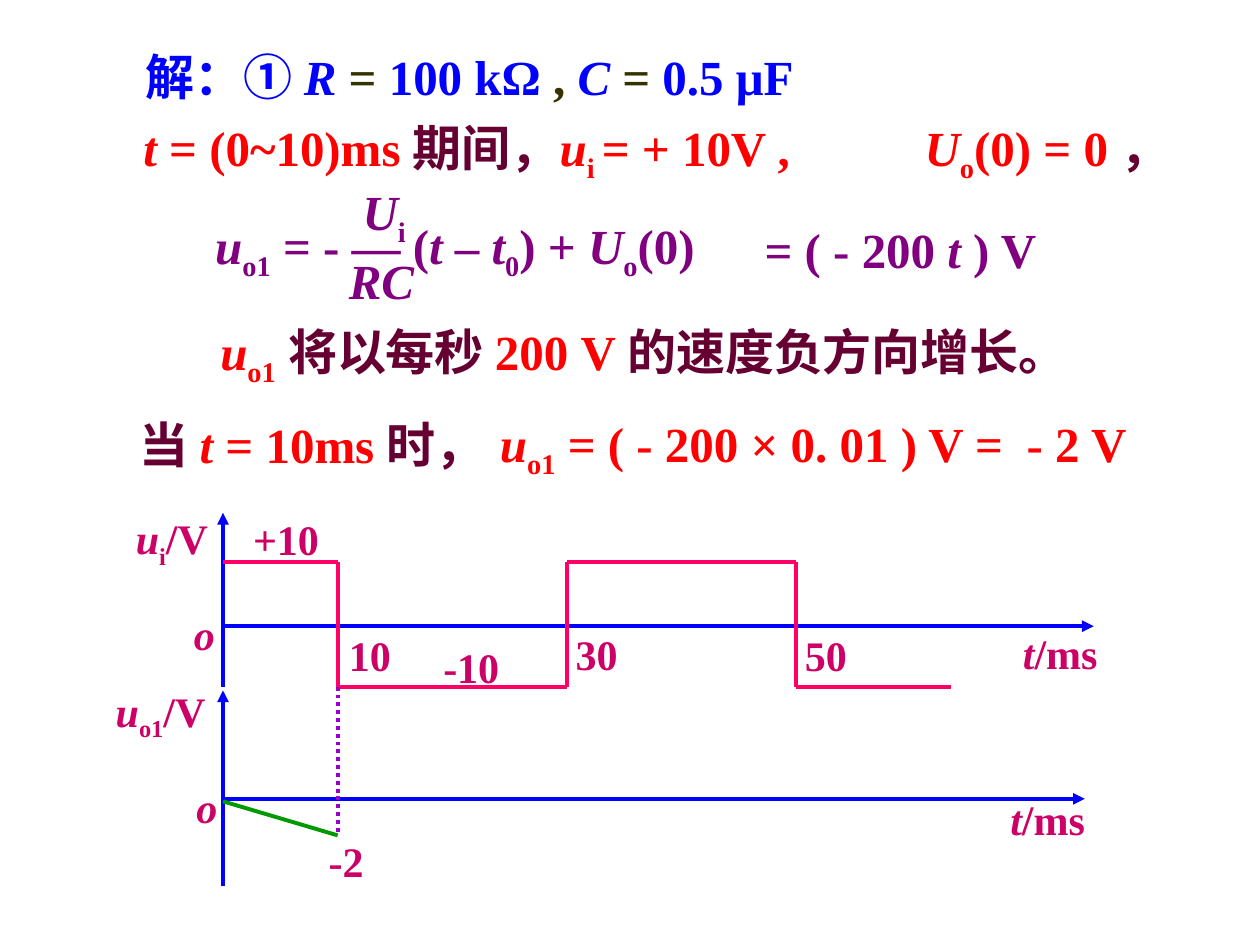
from itertools import pairwise

from lxml.etree import SubElement
from pptx import Presentation
from pptx.dml.color import RGBColor
from pptx.enum.dml import MSO_LINE_DASH_STYLE as Dash
from pptx.enum.shapes import MSO_CONNECTOR as Connector
from pptx.oxml.ns import qn
from pptx.util import Inches, Pt

FONT = "Times New Roman"
BLUE, RED, WINE, OLIVE = "0000FF", "FF0000", "660033", "333300"
PURPLE, LABEL, WAVE, GREEN, VIOLET = "800080", "CC0066", "FF0066", "009900", "9900CC"

FORMULAS = [
    ((1.06, 0.32, 7.09, 0.57), BLUE, None, [
        ("解：① ",), ("R", "i"), (" = ", "", OLIVE), ("100 kΩ",), (" , ", "", OLIVE),
        ("C ", "i"), ("=", "", OLIVE), (" 0.5 μF",)]),
    ((1.04, 0.88, 8.96, 0.63), RED, 6.2, [
        ("t", "i"), (" = (0~10)ms ",), ("期间，", "", WINE), ("u", "i"), ("i ", "s"),
        ("= + 10V ,\t",), ("U", "i"), ("o", "s"), ("(0) = 0 ",), ("，", "", WINE)]),
    ((1.61, 1.66, 4.13, 0.63), PURPLE, None, [
        ("u", "i"), ("o1", "s"), (" = - — (",), ("t", "i"), (" – ",), ("t", "i"), ("0", "s"),
        (") + ",), ("U", "i"), ("o", "s"), ("(0)",)]),
    ((2.78, 1.39, 0.54, 0.63), PURPLE, None, [("U", "i"), ("i", "s")]),
    ((2.67, 1.94, 0.72, 0.57), PURPLE, None, [("RC", "i")]),
    ((5.97, 1.69, 3.25, 0.57), PURPLE, None, [("= ( - 200 ",), ("t", "i"), (" ) V",)]),
    ((1.65, 2.5, 7.83, 0.63), RED, None, [
        ("u", "i"), ("o1", "s"), (" 将以每秒 ", "", WINE), ("200 V ",),
        ("的速度负方向增长。", "", WINE)]),
    ((1.01, 3.24, 3.76, 0.57), RED, None, [
        ("当 ", "", WINE), ("t ", "i"), ("= 10ms ",), ("时，", "", WINE)]),
    ((3.87, 3.23, 6.13, 0.63), RED, 4.18, [
        ("u", "i"), ("o1", "s"), (" = ( - 200 × 0. 01 ) V =\t- 2 V",)]),
]

TIME_LABEL = [("t", "i"), ("/ms",)]
LABELS = [
    ((0.98, 4.02, 0.77, 0.56), [("u", "i"), ("i", "s"), ("/V",)]),
    ((1.91, 4.03, 0.72, 0.5), [("+10",)]),
    ((1.44, 4.78, 0.36, 0.5), [("o", "i")]),
    ((2.67, 4.95, 0.53, 0.5), [("10",)]),
    ((3.42, 5.04, 0.8, 0.5), [("-10",)]),
    ((4.47, 4.94, 0.53, 0.5), [("30",)]),
    ((6.29, 4.95, 0.53, 0.5), [("50",)]),
    ((8.02, 4.93, 0.79, 0.5), TIME_LABEL),
    ((0.82, 5.39, 0.91, 0.56), [("u", "i"), ("o1", "s"), ("/V",)]),
    ((1.46, 6.15, 0.36, 0.5), [("o", "i")]),
    ((7.92, 6.25, 0.79, 0.5), TIME_LABEL),
    ((2.51, 6.58, 0.48, 0.5), [("-2",)]),
]

ORIGIN, INCHES_PER_MS = 1.77, 0.091
SWITCH_TIMES, WAVE_END = (0, 10, 30, 50), 7.55
HIGH, LOW = 4.46, 5.45
AXES = [
    ((ORIGIN, 4.97), (8.68, 4.97)),
    ((ORIGIN, 5.45), (ORIGIN, 4.07)),
    ((ORIGIN, 6.34), (8.61, 6.34)),
    ((ORIGIN, 7.03), (ORIGIN, 5.48)),
]


def color(value):
    """Turn a hex string into a colour."""
    return RGBColor.from_string(value)


def add_text(slide, runs, box, size=28, fill=LABEL, wrap=True, tab=None):
    """Add a one-paragraph text box made of (text, style, colour) runs."""
    frame = slide.shapes.add_textbox(*map(Inches, box)).text_frame
    frame.word_wrap = wrap
    paragraph = frame.paragraphs[0]
    if tab:
        tabs = SubElement(paragraph._p.get_or_add_pPr(), qn("a:tabLst"))
        SubElement(tabs, qn("a:tab"), pos=str(Inches(tab)), algn="l")
    for text, *options in runs:
        style, run_fill = options + ["", fill][len(options):]
        run = paragraph.add_run()
        run.text = text
        run.font.name, run.font.size, run.font.bold = FONT, Pt(size), True
        run.font.italic = style == "i"
        run.font.color.rgb = color(run_fill)
        if style == "s":
            run._r.get_or_add_rPr().set("baseline", "-25000")


def add_line(slide, start, end, fill, arrow=False, dash=None):
    """Add a straight line, optionally dashed or with an arrowhead at its end."""
    points = map(Inches, (*start, *end))
    connector = slide.shapes.add_connector(Connector.STRAIGHT, *points)
    connector.line.color.rgb = color(fill)
    connector.line.width = Pt(2.25)
    if dash:
        connector.line.dash_style = dash
    if arrow:
        SubElement(connector.line._get_or_add_ln(), qn("a:tailEnd"), type="triangle")
    SubElement(connector._element.spPr, qn("a:effectLst"))


def wave_points():
    """List the corners of the square wave."""
    edges = [ORIGIN + time * INCHES_PER_MS for time in SWITCH_TIMES] + [WAVE_END]
    points = []
    for index, (left, right) in enumerate(pairwise(edges)):
        level = LOW if index % 2 else HIGH
        points += [(left, level), (right, level)]
    return points


def main():
    """Build and save the slide."""
    presentation = Presentation()
    presentation.slide_width, presentation.slide_height = Inches(10), Inches(7.5)
    slide = presentation.slides.add_slide(presentation.slide_layouts[6])

    for box, fill, tab, runs in FORMULAS:
        add_text(slide, runs, box, fill=fill, wrap=box[2] > 1, tab=tab)
    for start, end in AXES:
        add_line(slide, start, end, BLUE, arrow=True)
    for start, end in pairwise(wave_points()):
        add_line(slide, start, end, WAVE)
    ramp_end = (ORIGIN + 10 * INCHES_PER_MS, 6.63)
    add_line(slide, (ORIGIN, 6.36), ramp_end, GREEN)
    add_line(slide, (ramp_end[0], LOW), ramp_end, VIOLET, dash=Dash.ROUND_DOT)
    for box, runs in LABELS:
        add_text(slide, runs, box, size=24, wrap=False)

    presentation.save("out.pptx")


if __name__ == "__main__":
    main()
